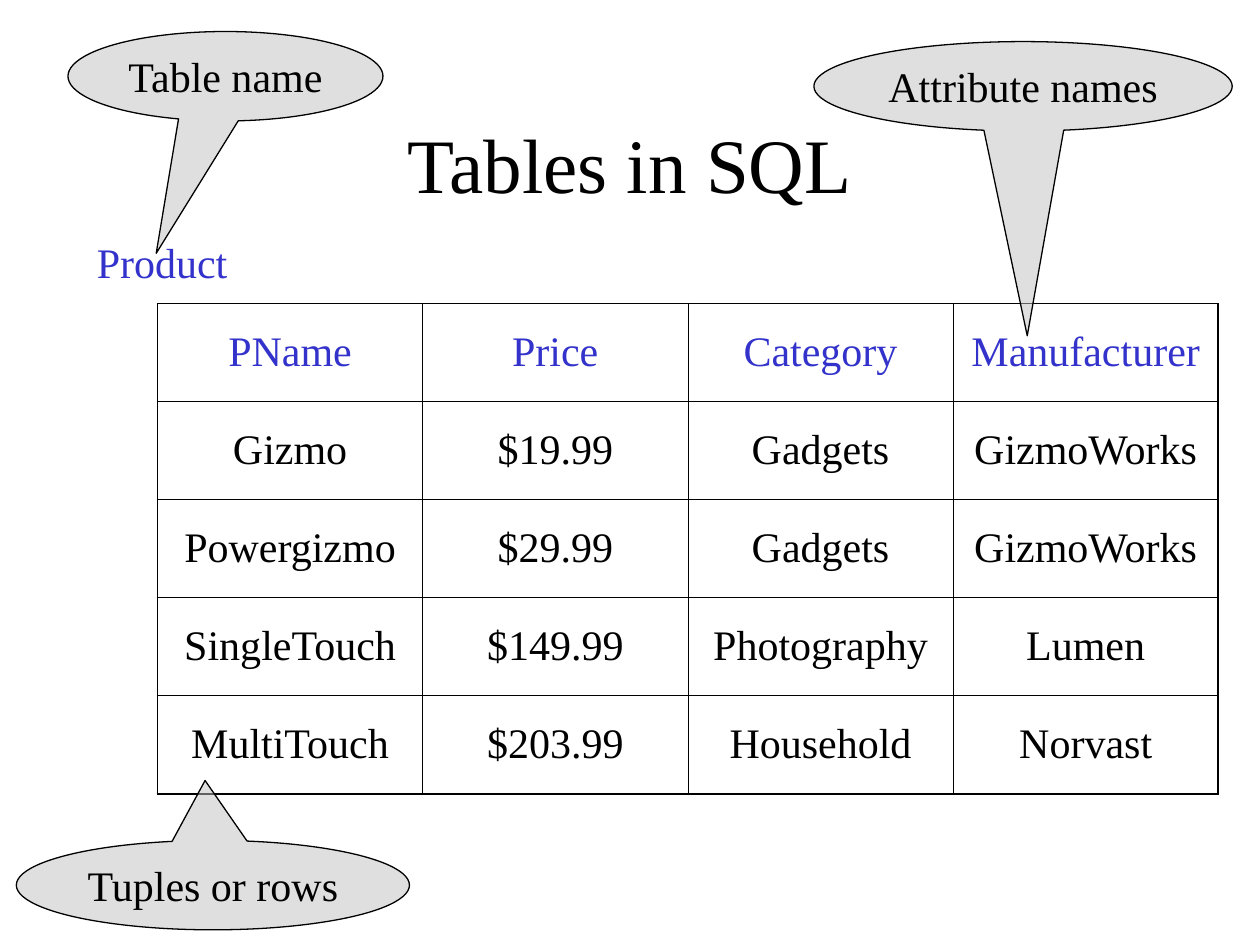
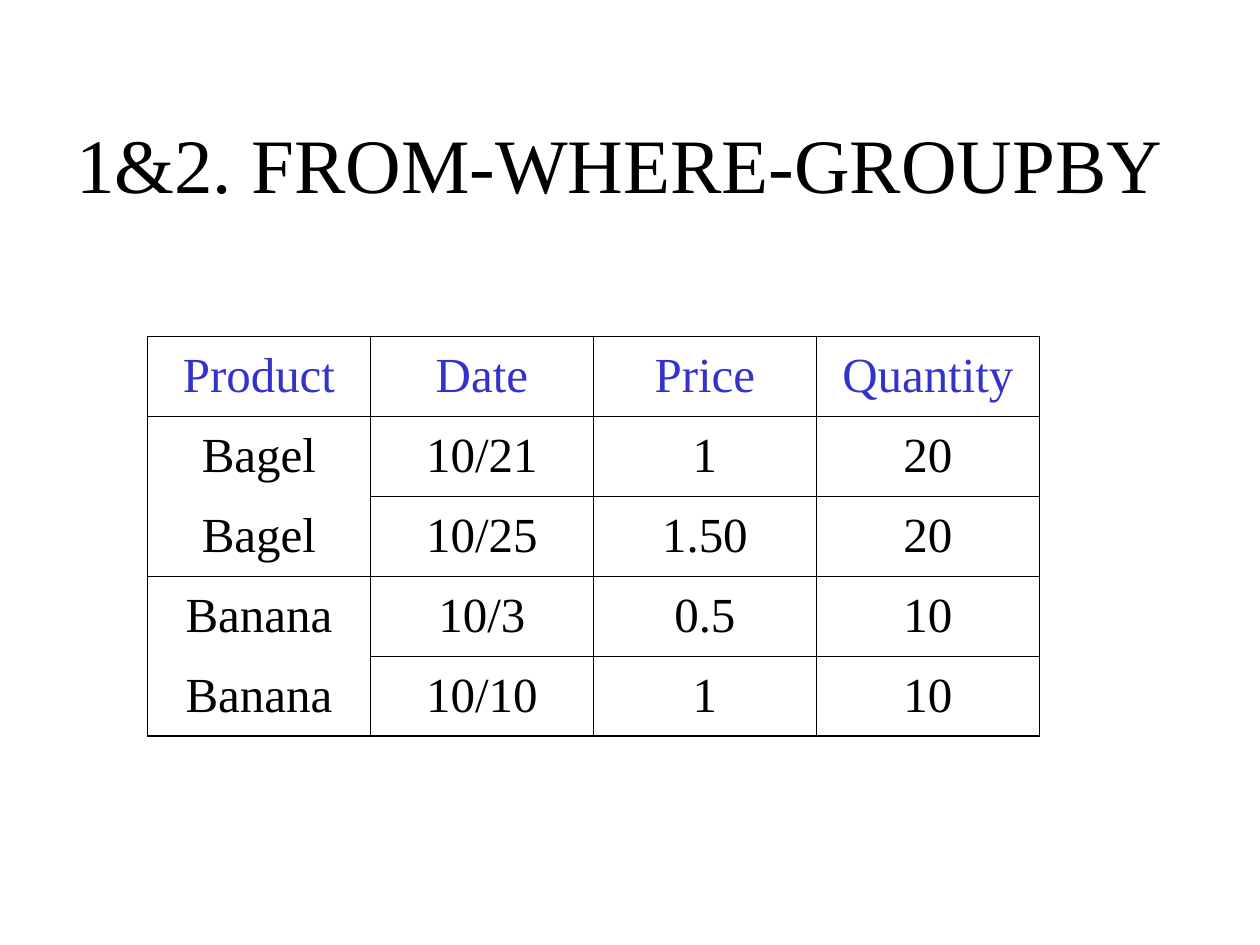
from dataclasses import dataclass

import pptx
import pptx.dml.color
import pptx.enum.shapes
import pptx.enum.text
import pptx.oxml
import pptx.oxml.ns
import pptx.util
from lxml import etree
from pptx.util import Inches

RGBColor = pptx.dml.color.RGBColor
Align = pptx.enum.text.PP_ALIGN
Anchor = pptx.enum.text.MSO_ANCHOR
Fit = pptx.enum.text.MSO_AUTO_SIZE
qn = pptx.oxml.ns.qn

# Shared look
FONT = "Times New Roman"
BLACK = RGBColor(0x00, 0x00, 0x00)
BLUE = RGBColor(0x33, 0x33, 0xCC)
GREY = RGBColor(0xC0, 0xC0, 0xC0)
THIN, THICK = 0.45, 1.08


@dataclass
class Box:
    left: float
    top: float
    width: float
    height: float

    def place(self) -> tuple:
        return tuple(map(Inches, (self.left, self.top, self.width, self.height)))


@dataclass
class Callout:
    text: str
    box: Box
    tip: tuple


@dataclass
class Grid:
    rows: list
    box: Box
    size: float
    before: float
    rule: float  # line under the header


PRODUCTS = Grid(
    [
        ("PName", "Price", "Category", "Manufacturer"),
        ("Gizmo", "$19.99", "Gadgets", "GizmoWorks"),
        ("Powergizmo", "$29.99", "Gadgets", "GizmoWorks"),
        ("SingleTouch", "$149.99", "Photography", "Lumen"),
        ("MultiTouch", "$203.99", "Household", "Norvast"),
    ],
    Box(1.25, 2.41, 8.42, 3.89), size=24, before=6, rule=THICK,
)
SALES = Grid(
    [
        ("Product", "Date", "Price", "Quantity"),
        ("Bagel", "10/21", "1", "20"),
        ("Bagel", "10/25", "1.50", "20"),
        ("Banana", "10/3", "0.5", "10"),
        ("Banana", "10/10", "1", "10"),
    ],
    Box(1.17, 2.67, 7.08, 3.17), size=28, before=7, rule=THIN,
)
CALLOUTS = [
    Callout("Attribute names", Box(6.46, 0.33, 3.32, 0.71), (0.01, 2.79)),
    Callout("Table name", Box(0.54, 0.25, 2.5, 0.71), (-0.22, 1.98)),
    Callout("Tuples or rows", Box(0.13, 6.67, 3.12, 0.71), (-0.02, -1.17)),
]


def write(frame, text: str, *, size: float = 24, color=BLACK, align=Align.CENTER,
          anchor=Anchor.TOP, wrap: bool = False,
          fit=Fit.SHAPE_TO_FIT_TEXT) -> None:
    frame.word_wrap = wrap
    frame.auto_size = fit
    frame.vertical_anchor = anchor
    fill_line(frame, text, size, color, align)


def fill_line(frame, text: str, size: float, color, align,
              before: float = 0) -> None:
    line = frame.paragraphs[0]
    line.alignment = align
    line.space_before = pptx.util.Pt(before)
    run = line.add_run()
    run.text = text
    run.font.name = FONT
    run.font.size = pptx.util.Pt(size)
    run.font.color.rgb = color


def add_slide(deck, title: str, box: Box):
    slide = deck.slides.add_slide(deck.slide_layouts[5])
    head = slide.shapes.title
    head.left, head.top, head.width, head.height = box.place()
    write(head.text_frame, title, size=44, anchor=Anchor.MIDDLE,
          wrap=True, fit=Fit.NONE)
    return slide


def set_edges(cell, edges: dict) -> None:
    """Draw the cell's sides in points; a width of 0 leaves a side open."""
    props = cell._tc.get_or_add_tcPr()
    for spot, side in enumerate("LRTB"):
        width = edges[side]
        line = etree.Element(qn(f"a:ln{side}"), w=str(pptx.util.Pt(width)))
        if width:
            paint = etree.SubElement(line, qn("a:solidFill"))
            etree.SubElement(paint, qn("a:srgbClr"), val=str(BLACK))
        else:
            etree.SubElement(line, qn("a:noFill"))
        props.insert(spot, line)


def add_grid(slide, grid: Grid) -> None:
    rows = grid.rows
    last, end = len(rows) - 1, len(rows[0]) - 1
    table = slide.shapes.add_table(last + 1, end + 1, *grid.box.place()).table

    def level(row: int, col: int) -> float:
        """Width of the line above a row; equal names in column 0 stay joined."""
        if row in (0, last + 1):
            return THICK
        if row == 1:
            return grid.rule
        return 0 if col == 0 and rows[row][0] == rows[row - 1][0] else THIN

    for r, row in enumerate(rows):
        for c, text in enumerate(row):
            cell = table.cell(r, c)
            cell.fill.background()
            cell.vertical_anchor = Anchor.MIDDLE
            fill_line(cell.text_frame, text, grid.size, BLACK if r else BLUE,
                      Align.CENTER, grid.before)
            set_edges(cell, {
                "L": THIN if c else THICK,
                "R": THICK if c == end else THIN,
                "T": level(r, c),
                "B": level(r + 1, c),
            })


def add_callout(slide, note: Callout) -> None:
    kind = pptx.enum.shapes.MSO_SHAPE.OVAL_CALLOUT
    shape = slide.shapes.add_shape(kind, *note.box.place())
    shape.adjustments[0], shape.adjustments[1] = note.tip
    shape.shadow.inherit = False
    shape.fill.solid()
    shape.fill.fore_color.rgb = GREY
    tint = shape._element.spPr.find(qn("a:solidFill")).find(qn("a:srgbClr"))
    etree.SubElement(tint, qn("a:alpha"), val="50000")
    shape.line.color.rgb = BLACK
    shape.line.width = pptx.util.Pt(0.75)
    write(shape.text_frame, note.text)


def main() -> None:
    deck = pptx.Presentation()
    deck.slide_width, deck.slide_height = Inches(10), Inches(7.5)

    # Parts of a table
    slide = add_slide(deck, "Tables in SQL", Box(0.75, 0.67, 8.5, 1.25))
    add_grid(slide, PRODUCTS)
    label = slide.shapes.add_textbox(*Box(0.67, 1.83, 1.3, 0.5).place())
    write(label.text_frame, "Product", color=BLUE, align=Align.LEFT)
    for note in CALLOUTS:
        add_callout(slide, note)

    # Grouped sales
    slide = add_slide(deck, "1&2. FROM-WHERE-GROUPBY", Box(0.42, 0.67, 9, 1.25))
    add_grid(slide, SALES)

    deck.save("out.pptx")


if __name__ == "__main__":
    main()
